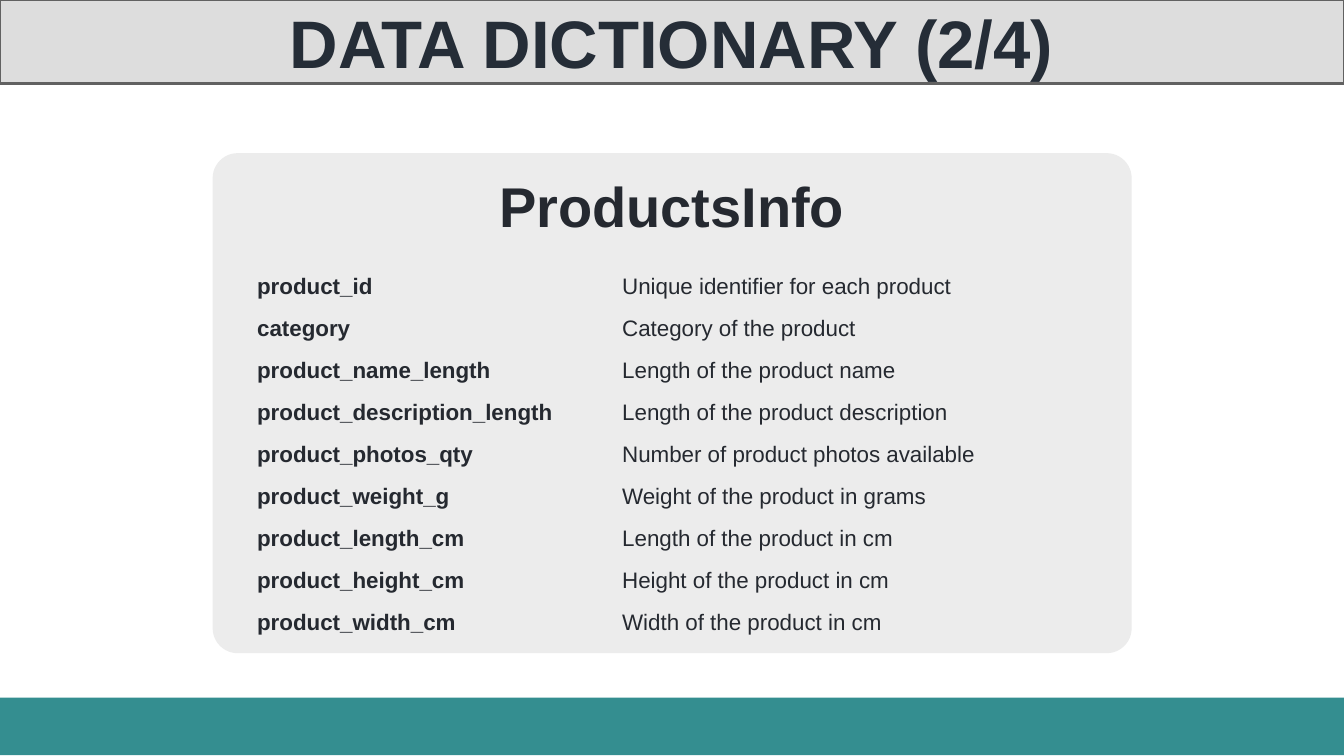
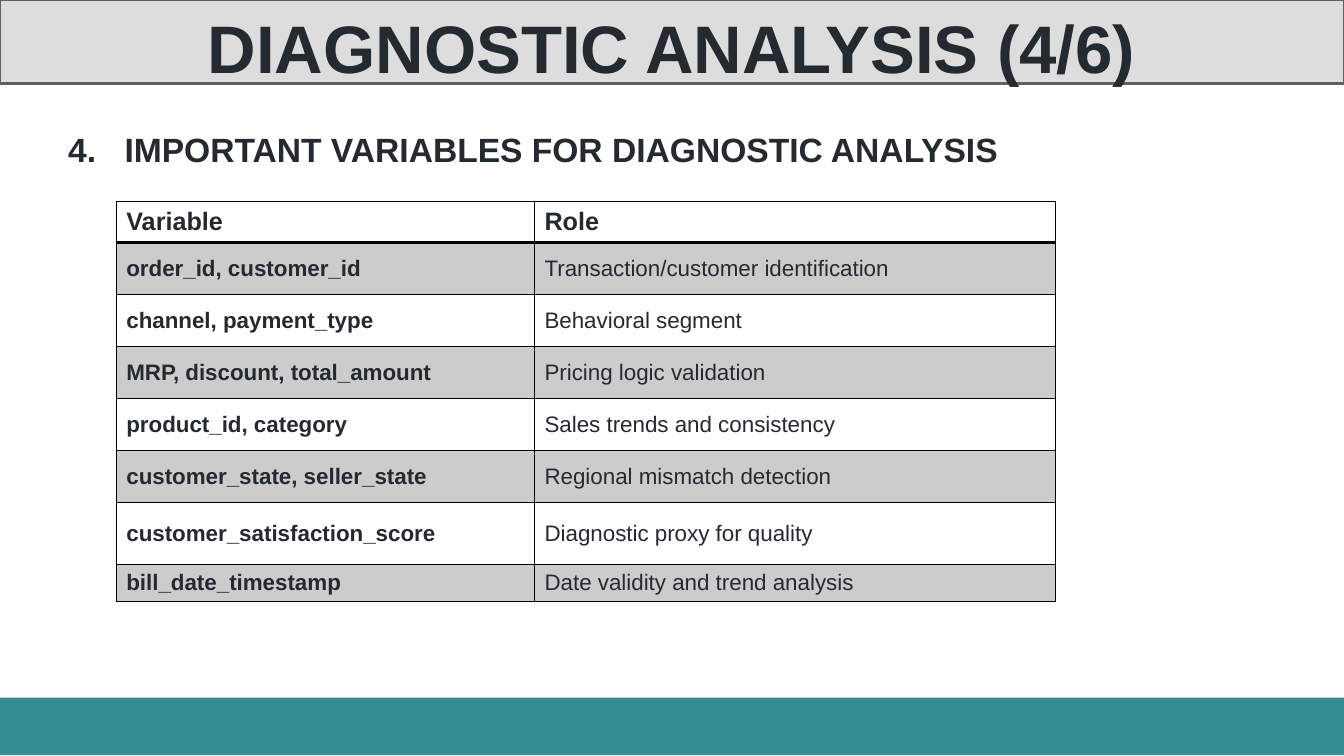
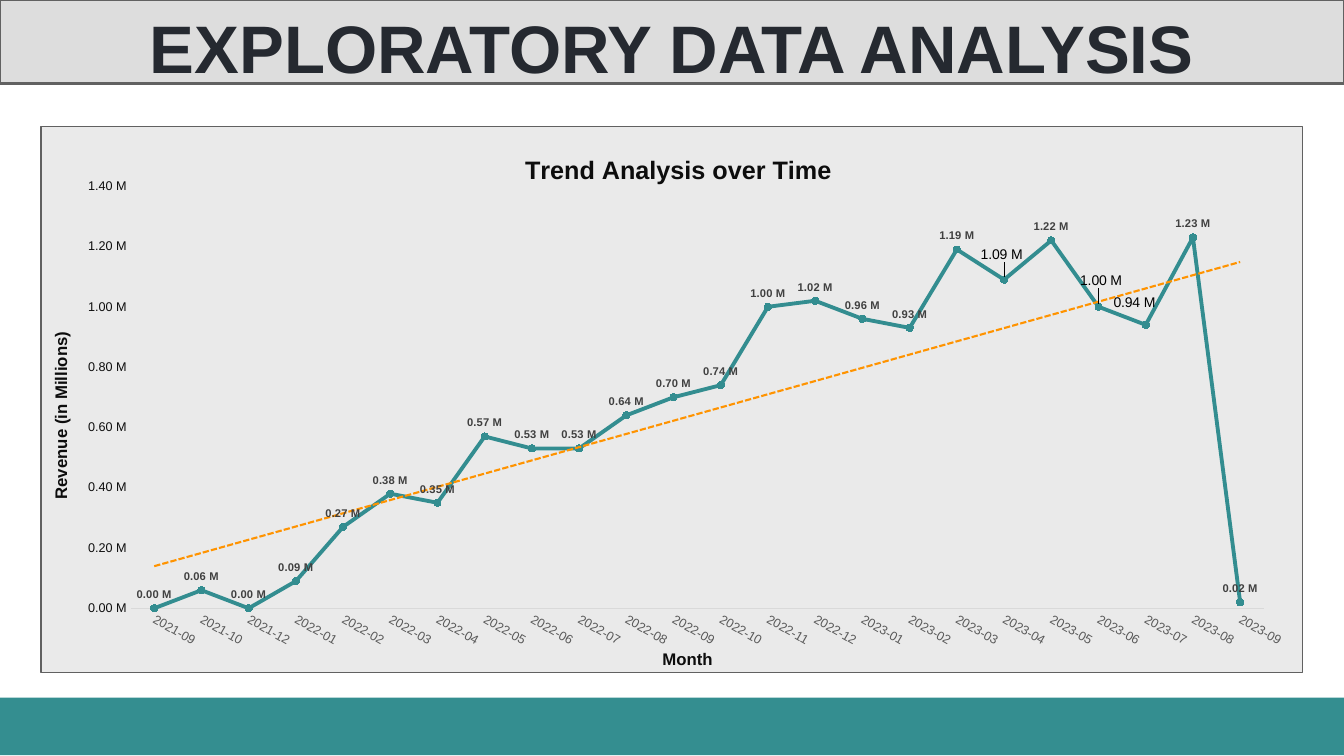
import copy

import lxml.etree
import pptx
import pptx.chart.data
import pptx.dml.color
import pptx.enum.chart
import pptx.enum.shapes
import pptx.enum.text
import pptx.oxml
import pptx.oxml.ns
import pptx.util

Cm, Pt = pptx.util.Cm, pptx.util.Pt
rgb = pptx.dml.color.RGBColor.from_string
qn = pptx.oxml.ns.qn
ALIGN = pptx.enum.text.PP_ALIGN
ANCHOR = pptx.enum.text.MSO_ANCHOR
SHAPE = pptx.enum.shapes.MSO_SHAPE
LABEL = pptx.enum.chart.XL_LABEL_POSITION

COLORS = {
    "ink": "252930", "slate": "252D37", "black": "000000", "near_black": "0D0D0D",
    "label": "404040", "axis": "595959", "axis_line": "D9D9D9",
    "teal": "348E90", "series": "338D90", "trend": "FF9300",
    "header": "DDDDDD", "frame": "616161", "panel": "ECECEC",
    "stripe": "CCCCCC", "chart": "EAEAEA",
}
NO_GRID_STYLE = "{2D5ABB26-0587-4C30-8999-92F81FD0307C}"


def write(frame, text, size=16, color="ink", bold=False, align=None, leading=None):
    """Put text in the first paragraph of a text frame and return that paragraph."""
    paragraph = frame.paragraphs[0]
    paragraph.alignment = align
    paragraph.line_spacing = leading
    run = paragraph.add_run()
    run.text = text
    run.font.name = "Arial"
    run.font.size = Pt(size)
    run.font.bold = bold
    run.font.color.rgb = rgb(COLORS[color])
    return paragraph


def place(part, index, **settings):
    """Give a chart part a manual layout; settings are fractions of the chart, or modes."""
    for old in part.findall(qn("c:layout")):
        part.remove(old)
    layout = lxml.etree.Element(qn("c:layout"))
    manual = lxml.etree.SubElement(layout, qn("c:manualLayout"))
    for name, value in settings.items():
        lxml.etree.SubElement(manual, qn("c:" + name)).set("val", str(value))
    part.insert(index, layout)


deck = pptx.Presentation()
deck.slide_width, deck.slide_height = Cm(33.87), Cm(19.05)

# Header and footer bands
headers = [
    ("DATA DICTIONARY (2/4)", "slate", None),
    ("DIAGNOSTIC ANALYSIS (4/6)", "ink", Pt(64.3)),
    ("EXPLORATORY DATA ANALYSIS", "ink", Pt(64.3)),
]
for heading, color, leading in headers:
    slide = deck.slides.add_slide(deck.slide_layouts[6])
    for top, height, fill in [(17.58, 1.45, "teal"), (0, 2.11, "header")]:
        band = slide.shapes.add_shape(SHAPE.RECTANGLE, 0, Cm(top), deck.slide_width, Cm(height))
        band.shadow.inherit = False
        band.fill.solid()
        band.fill.fore_color.rgb = rgb(COLORS[fill])
        band.line.fill.background()
    band.line.color.rgb = rgb(COLORS["frame"])
    band.line.width = Pt(2)
    band.text_frame.word_wrap = True
    band.text_frame.vertical_anchor = ANCHOR.MIDDLE
    write(band.text_frame, heading, size=48, color=color, bold=True,
          align=ALIGN.CENTER, leading=leading)
dictionary, diagnostic, exploratory = deck.slides

# Data dictionary: panel and its name
panel = dictionary.shapes.add_shape(SHAPE.ROUNDED_RECTANGLE, Cm(5.36), Cm(3.86), Cm(23.16), Cm(12.6))
panel.adjustments[0] = 0.05
panel.shadow.inherit = False
panel.fill.solid()
panel.fill.fore_color.rgb = rgb(COLORS["panel"])
panel.line.fill.background()

entity = dictionary.shapes.add_textbox(Cm(10.44), Cm(4.6), Cm(12.98), Cm(1.45)).text_frame
entity.word_wrap = True
entity.margin_left = entity.margin_right = entity.margin_top = entity.margin_bottom = 0
write(entity, "ProductsInfo", size=40, bold=True, align=ALIGN.CENTER, leading=Pt(40))

# Diagnostic analysis: numbered heading
topic = diagnostic.shapes.add_textbox(Cm(1.47), Cm(3.12), Cm(30.91), Cm(1.28)).text_frame
topic.word_wrap = True
numbering = topic.paragraphs[0]._p.get_or_add_pPr()
numbering.set("marL", str(Cm(1.42)))
numbering.set("indent", str(-Cm(1.42)))
lxml.etree.SubElement(numbering, qn("a:buFont")).set("typeface", "+mj-lt")
number = lxml.etree.SubElement(numbering, qn("a:buAutoNum"))
number.set("type", "arabicPeriod")
number.set("startAt", "4")
write(topic, "IMPORTANT VARIABLES FOR DIAGNOSTIC ANALYSIS", size=24, bold=True)

# Both tables
fields = [
    ("product_id", "Unique identifier for each product"),
    ("category", "Category of the product"),
    ("product_name_length", "Length of the product name"),
    ("product_description_length", "Length of the product description"),
    ("product_photos_qty", "Number of product photos available"),
    ("product_weight_g", "Weight of the product in grams"),
    ("product_length_cm", "Length of the product in cm"),
    ("product_height_cm", "Height of the product in cm"),
    ("product_width_cm", "Width of the product in cm"),
]
variables = [
    ("Variable", "Role"),
    ("order_id, customer_id", "Transaction/customer identification"),
    ("channel, payment_type", "Behavioral segment"),
    ("MRP, discount, total_amount", "Pricing logic validation"),
    ("product_id, category", "Sales trends and consistency"),
    ("customer_state, seller_state", "Regional mismatch detection"),
    ("customer_satisfaction_score", "Diagnostic proxy for quality"),
    ("bill_date_timestamp", "Date validity and trend analysis"),
]
tables = [
    (dictionary, fields, 6.48, 6.55, (9.2, 12.82), [1.02] * len(fields), False),
    (diagnostic, variables, 2.93, 5.08, (10.54, 13.13), [1.03] + [1.31] * 5 + [1.57, 0.93], True),
]
for slide, rows, left, top, widths, heights, ruled in tables:
    table = slide.shapes.add_table(len(rows), 2, Cm(left), Cm(top),
                                   Cm(sum(widths)), Cm(sum(heights))).table
    table.first_row = table.horz_banding = False
    table._tbl.tblPr.find(qn("a:tableStyleId")).text = NO_GRID_STYLE
    for column, width in zip(table.columns, widths):
        column.width = Cm(width)
    for r, (row, height) in enumerate(zip(rows, heights)):
        table.rows[r].height = Cm(height)
        for c, text in enumerate(row):
            cell = table.cell(r, c)
            is_header = ruled and r == 0
            write(cell.text_frame, text, size=18 if is_header else 16,
                  bold=c == 0 or is_header, leading=None if ruled else 1.5)
            if not ruled:
                cell.margin_left = cell.margin_right = cell.margin_bottom = 0
                cell.margin_top = Pt(1.2)
                cell.fill.background()
                continue
            cell.vertical_anchor = ANCHOR.MIDDLE
            for side in "LRTB":
                under_header = (r, side) in [(0, "B"), (1, "T")]
                border = lxml.etree.SubElement(cell._tc.get_or_add_tcPr(), qn("a:ln" + side))
                border.set("w", str(Pt(2 if under_header else 1)))
                paint = lxml.etree.SubElement(border, qn("a:solidFill"))
                lxml.etree.SubElement(paint, qn("a:srgbClr")).set("val", COLORS["black"])
            if r % 2:
                cell.fill.solid()
                cell.fill.fore_color.rgb = rgb(COLORS["stripe"])
            else:
                cell.fill.background()

# Exploratory analysis: monthly revenue with a trend line
months = [
    "2021-09", "2021-10", "2021-12", "2022-01", "2022-02", "2022-03", "2022-04", "2022-05",
    "2022-06", "2022-07", "2022-08", "2022-09", "2022-10", "2022-11", "2022-12", "2023-01",
    "2023-02", "2023-03", "2023-04", "2023-05", "2023-06", "2023-07", "2023-08", "2023-09",
]
revenue = [
    0, 60000, 0, 90000, 270000, 380000, 350000, 570000,
    530000, 530000, 640000, 700000, 740000, 1000000, 1020000, 960000,
    930000, 1190000, 1090000, 1220000, 1000000, 940000, 1230000, 20000,
]
data = pptx.chart.data.CategoryChartData()
data.categories = months
data.add_series("Series 1", revenue)
chart = exploratory.shapes.add_chart(
    pptx.enum.chart.XL_CHART_TYPE.LINE_MARKERS, Cm(1.02), Cm(3.18), Cm(31.83), Cm(13.79), data).chart
chart.font.name = "Arial"
chart.font.size = Pt(10)
chart.has_legend = False
chart.has_title = True
chart.plots[0].vary_by_categories = False
chart.element.find(qn("c:txPr")).addprevious(pptx.oxml.parse_xml(
    f'<c:spPr {pptx.oxml.ns.nsdecls("c", "a")}>'
    f'<a:solidFill><a:srgbClr val="{COLORS["chart"]}"/></a:solidFill>'
    f'<a:ln w="{Pt(0.75)}"><a:solidFill><a:srgbClr val="{COLORS["frame"]}"/></a:solidFill></a:ln>'
    '</c:spPr>'))

month_axis, revenue_axis = chart.category_axis, chart.value_axis
for axis, color in [(month_axis, "axis"), (revenue_axis, "near_black")]:
    axis.has_major_gridlines = False
    axis.major_tick_mark = axis.minor_tick_mark = pptx.enum.chart.XL_TICK_MARK.NONE
    axis.tick_labels.font.name = "Arial"
    axis.tick_labels.font.size = Pt(9)
    axis.tick_labels.font.color.rgb = rgb(COLORS[color])
month_axis.format.line.color.rgb = rgb(COLORS["axis_line"])
month_axis.format.line.width = Pt(1)
revenue_axis.format.line.fill.background()
revenue_axis.minimum_scale, revenue_axis.maximum_scale = 0, 1400000
revenue_axis.major_unit = 200000
revenue_axis.tick_labels.number_format = '0.00,,\\ "M"'
revenue_axis.tick_labels.number_format_is_linked = False
chart.element.xpath("//c:catAx/c:txPr/a:bodyPr")[0].set("rot", str(30 * 60000))

for title, text, size in [
    (chart.chart_title, "Trend Analysis over Time", 18),
    (month_axis.axis_title, "Month", 12),
    (revenue_axis.axis_title, "Revenue (in Millions)", 12),
]:
    write(title.text_frame, text, size=size, color="near_black", bold=True)
chart.element.xpath("//c:valAx/c:title//a:bodyPr")[0].set("rot", str(-90 * 60000))
for owner, x, y in [("c:chart", 0.38, 0.04), ("c:catAx", 0.49, 0.95), ("c:valAx", 0.005, 0.37)]:
    place(chart.element.xpath(f"//{owner}/c:title")[0], 1, xMode="edge", yMode="edge", x=x, y=y)
place(chart.element.xpath("//c:plotArea")[0], 0, layoutTarget="inner",
      xMode="edge", yMode="edge", x=0.071, y=0.109, w=0.898, h=0.773)

trend = chart.plots[0].series[0]
trend.smooth = False
trend.format.line.color.rgb = rgb(COLORS["series"])
trend.format.line.width = Pt(2.75)
trend.marker.style = pptx.enum.chart.XL_MARKER_STYLE.CIRCLE
trend.marker.size = 5
trend.marker.format.fill.solid()
trend.marker.format.fill.fore_color.rgb = rgb(COLORS["series"])
trend.marker.format.line.color.rgb = rgb(COLORS["series"])

labels = trend.data_labels
labels.show_value = True
labels.position = LABEL.ABOVE
labels.number_format = '#,##0.00,,\\ "M"'
labels.number_format_is_linked = False
labels.font.name = "Arial"
labels.font.size = Pt(8)
labels.font.bold = True
labels.font.color.rgb = rgb(COLORS["label"])

# Three labels are moved clear of the line
label_format = chart.element.xpath("//c:dLbls/c:numFmt | //c:dLbls/c:txPr")
nudges = {18: (-0.002, -0.018), 20: (0.002, -0.02), 21: (-0.009, -0.013)}
for point in nudges:
    trend.points[point].data_label.position = LABEL.ABOVE
for label, (x, y) in zip(chart.element.xpath("//c:dLbl"), nudges.values()):
    place(label, 1, x=x, y=y)
    for offset, part in enumerate(label_format):
        label.insert(2 + offset, copy.deepcopy(part))

chart.element.xpath("//c:ser/c:cat")[0].addprevious(pptx.oxml.parse_xml(
    f'<c:trendline {pptx.oxml.ns.nsdecls("c", "a")}><c:spPr><a:ln w="{Pt(1.5)}">'
    f'<a:solidFill><a:srgbClr val="{COLORS["trend"]}"/></a:solidFill><a:prstDash val="sysDash"/>'
    '</a:ln></c:spPr><c:trendlineType val="linear"/>'
    '<c:dispRSqr val="0"/><c:dispEq val="0"/></c:trendline>'))

deck.save("out.pptx")
